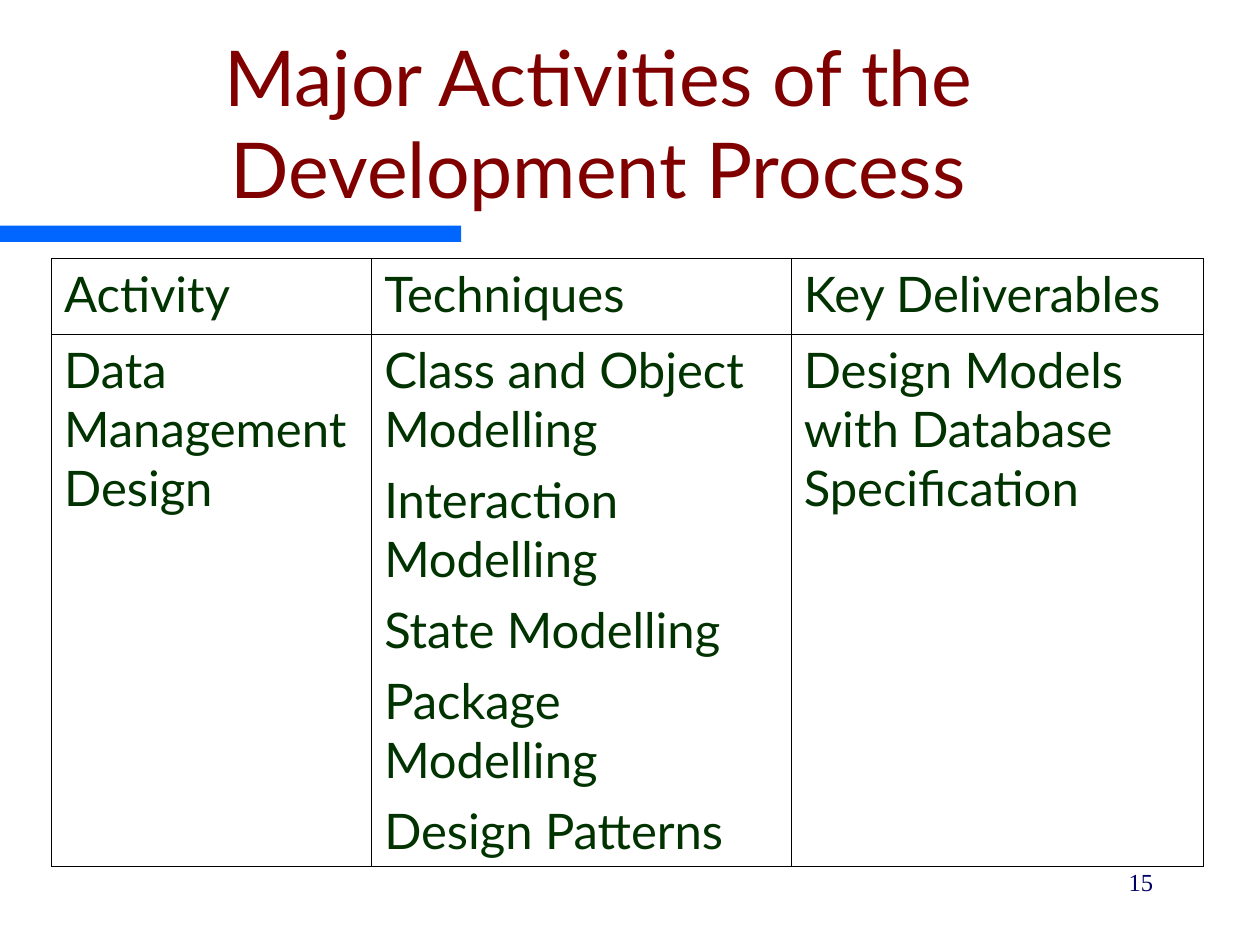
from dataclasses import dataclass

from lxml import etree
from pptx import Presentation
from pptx import util as u
from pptx.dml.color import RGBColor
from pptx.enum import shapes, text
from pptx.oxml.ns import qn

W, H = 10, 7.5


@dataclass(frozen=True)
class Theme:
    font: str = "Lato"
    number_font: str = "Times New Roman"
    title: str = "800000"
    body: str = "003300"
    number: str = "000066"
    accent: str = "0066FF"
    border: str = "000000"
    title_size: int = 44
    body_size: int = 28
    number_size: int = 14
    para_gap: int = 7
    outer_line: float = 0.75
    inner_line: float = 0.45


T = Theme()
HEADER = ["Activity", "Techniques", "Key Deliverables"]
ACTIVITY = [
    "Data Management Design",
    ["Class and Object Modelling", "Interaction Modelling", "State Modelling",
     "Package Modelling", "Design Patterns"],
    "Design Models with Database Specification",
]


def inches(box):
    return [u.Inches(v) for v in box]


def write(tf, content, *, size, color, font=T.font, align=None, gap=0):
    """Fill a text frame with one paragraph per item."""
    tf.word_wrap = True
    items = [content] if isinstance(content, str) else content
    for i, item in enumerate(items):
        p = tf.add_paragraph() if i else tf.paragraphs[0]
        p.alignment = align
        if i:
            p.space_before = u.Pt(gap)
        r = p.add_run()
        r.text = item
        r.font.name, r.font.size = font, u.Pt(size)
        r.font.color.rgb = RGBColor.from_string(color)


def add_text(s, box, content, anchor=text.MSO_ANCHOR.TOP, **fmt):
    tf = s.shapes.add_textbox(*inches(box)).text_frame
    tf.vertical_anchor = anchor
    write(tf, content, **fmt)


def add_bar(s, box):
    sp = s.shapes.add_shape(shapes.MSO_SHAPE.RECTANGLE, *inches(box))
    sp.shadow.inherit = False
    sp.fill.solid()
    sp.fill.fore_color.rgb = RGBColor.from_string(T.accent)
    sp.line.fill.background()


def set_borders(cell, outer):
    """Draw all four edges; outer lists those on the table's rim."""
    tcPr = cell._tc.get_or_add_tcPr()
    for i, edge in enumerate("LRTB"):
        width = T.outer_line if edge in outer else T.inner_line
        ln = etree.Element(qn(f"a:ln{edge}"), w=str(u.Pt(width)))
        fill = etree.SubElement(ln, qn("a:solidFill"))
        etree.SubElement(fill, qn("a:srgbClr"), val=T.border)
        tcPr.insert(i, ln)


def add_activity_table(s, box, rows, col_widths, row_heights):
    n_rows, n_cols = len(rows), len(col_widths)
    tbl = s.shapes.add_table(n_rows, n_cols, *inches(box)).table
    tbl.first_row = tbl.horz_banding = False
    for col, width in zip(tbl.columns, col_widths):
        col.width = u.Inches(width)
    for row, height in zip(tbl.rows, row_heights):
        row.height = u.Inches(height)
    for i, row in enumerate(rows):
        for j, content in enumerate(row):
            cell = tbl.cell(i, j)
            cell.fill.background()
            write(cell.text_frame, content, size=T.body_size, color=T.body,
                  gap=T.para_gap)
            rim = {"L": j == 0, "R": j == n_cols - 1,
                   "T": i == 0, "B": i == n_rows - 1}
            set_borders(cell, [edge for edge, on in rim.items() if on])


def main():
    prs = Presentation()
    prs.slide_width, prs.slide_height = u.Inches(W), u.Inches(H)
    s = prs.slides.add_slide(prs.slide_layouts[6])

    # Accent bar under the title
    add_bar(s, (0, 1.79, 3.66, 0.13))

    # Title
    add_text(s, (W * 0.025, H / 15, W * 0.9, H / 6),
             "Major Activities of the Development Process",
             anchor=text.MSO_ANCHOR.BOTTOM, size=T.title_size, color=T.title,
             align=text.PP_ALIGN.CENTER)

    # Activity table
    cols, heights = (2.54, 3.33, 3.27), (0.6, 4.22)
    add_activity_table(s, (0.41, 2.05, sum(cols), sum(heights)),
                       [HEADER, ACTIVITY], cols, heights)

    # Slide number
    add_text(s, (7.17, 6.83, 2.08, H / 15), "15", size=T.number_size,
             color=T.number, font=T.number_font, align=text.PP_ALIGN.RIGHT)

    prs.save("out.pptx")


if __name__ == "__main__":
    main()
